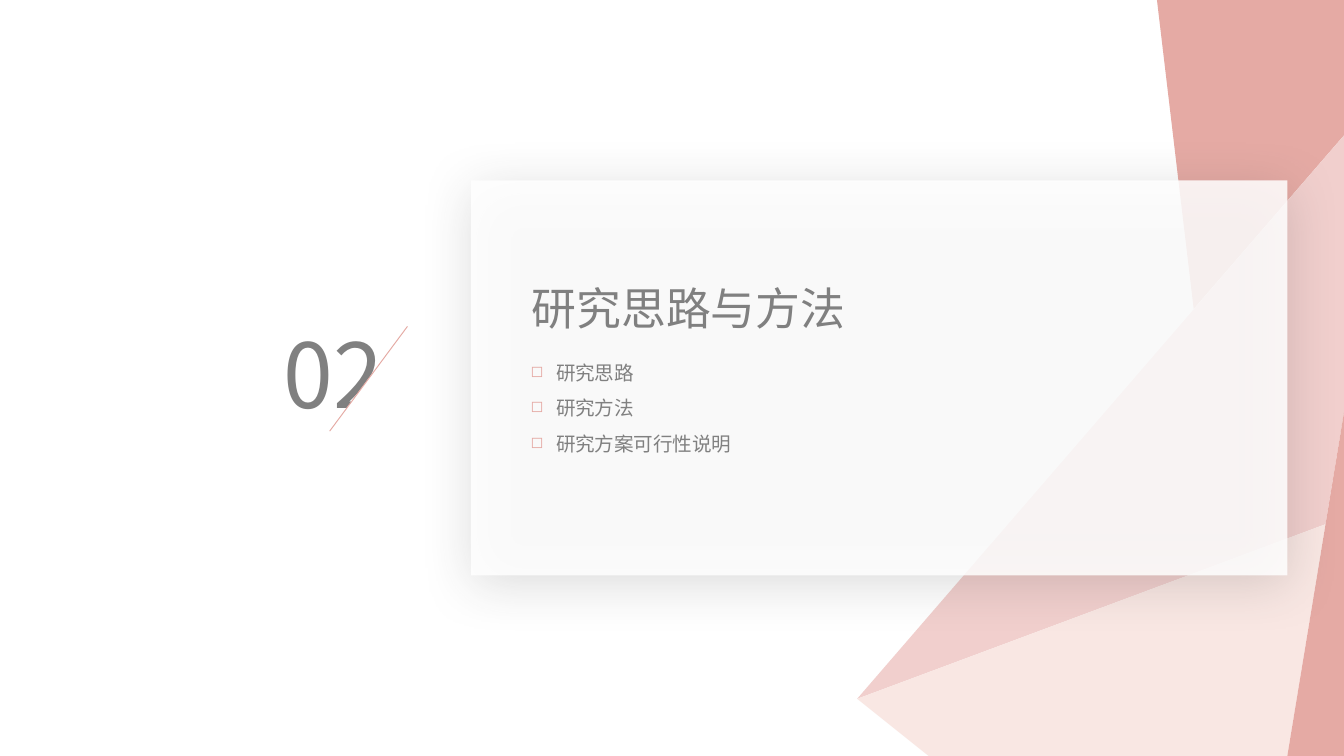
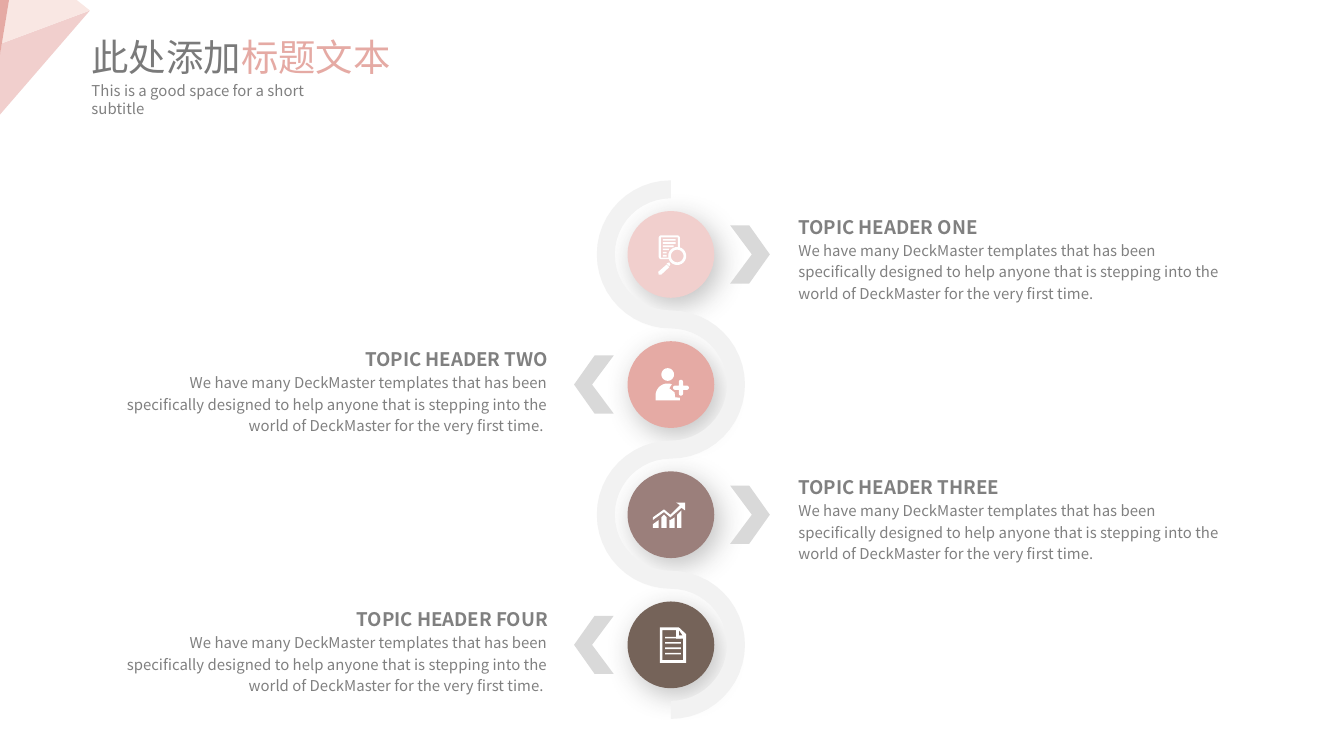
"""Build a section slide and a four-topic slide in a soft pink style."""
from math import cos, radians, sin

from lxml.etree import SubElement
from pptx import Presentation
from pptx.dml.color import RGBColor
from pptx.enum.shapes import MSO_CONNECTOR, MSO_SHAPE
from pptx.enum.text import MSO_AUTO_SIZE, PP_ALIGN
from pptx.oxml.ns import qn
from pptx.util import Cm, Pt

FONT = "Noto Sans CJK SC"
HUES = {
    "white": "FFFFFF", "text": "808080", "title": "7A7A7A", "rose": "E5AAA4",
    "pink": "F1CFCD", "cream": "F9E7E3", "mauve": "9B7F7B", "brown": "756359",
    "band": "F2F2F2", "arrow": "D9D9D9", "shade": "333333",
}
RGB = {name: RGBColor.from_string(code) for name, code in HUES.items()}


def draw(home, hue, *loops):
    """Fill closed loops of points (x, y) and arcs (x, y, radius, start, end)."""
    pen = None
    for loop in loops:
        dots = []
        for part in loop:
            if len(part) == 2:
                dots.append(part)
                continue
            x, y, size, start, end = part
            for step in range(25):
                turn = radians(start + (end - start) * step / 24)
                dots.append((x + size * cos(turn), y + size * sin(turn)))
        dots = [(Cm(x), Cm(y)) for x, y in dots]
        if pen is None:
            pen = home.build_freeform(*dots[0], scale=1.0)
        else:
            pen.move_to(*dots[0])
        pen.add_line_segments(dots[1:], close=True)
    shape = pen.convert_to_shape()
    shape.shadow.inherit = False
    shape.fill.solid()
    shape.fill.fore_color.rgb = RGB[hue]
    shape.line.fill.background()


def write(home, box, lines, wrap=True, inset=None, align=None, space=None):
    """Add a text box; each line is a list of runs (text, size, hue, bold)."""
    frame = home.add_textbox(*map(Cm, box)).text_frame
    frame.word_wrap = wrap
    frame.auto_size = MSO_AUTO_SIZE.SHAPE_TO_FIT_TEXT
    if inset is not None:
        frame.margin_left = frame.margin_right = Cm(inset)
        frame.margin_top = frame.margin_bottom = Cm(inset)
    for at, runs in enumerate(lines):
        para = frame.add_paragraph() if at else frame.paragraphs[0]
        para.alignment = align
        para.line_spacing = space
        for text, size, hue, bold in runs:
            run = para.add_run()
            run.text = text
            run.font.size = Pt(size)
            run.font.bold = bold
            run.font.color.rgb = RGB[hue]
            run.font.name = FONT
            SubElement(run._r.get_or_add_rPr(), qn("a:ea"), typeface=FONT)
    return frame


deck = Presentation()
deck.slide_width, deck.slide_height = Cm(25.4), Cm(14.29)
blank = deck.slide_layouts[6]

APEX = (16.2, 13.21)
FACETS = [
    ("pink", [APEX, (25.05, 9.91), (25.4, 7.8), (25.4, 2.56)]),
    ("cream", [APEX, (17.55, 14.29), (24.33, 14.29), (25.05, 9.91)]),
    ("rose", [(24.33, 14.29), (25.4, 14.29), (25.4, 7.8)]),
]
shades = []

first = deck.slides.add_slide(blank).shapes
back = first.add_group_shape().shapes
draw(back, "rose", [(22.56, 5.84), (21.86, -0.05), (25.4, -0.05), (25.4, 2.56)])
for hue, dots in FACETS:
    draw(back, hue, dots)

card = first.add_shape(MSO_SHAPE.RECTANGLE, Cm(8.9), Cm(3.41), Cm(15.43), Cm(7.47))
card.fill.solid()
card.fill.fore_color.rgb = RGB["white"]
card.line.fill.background()
tint = card._element.spPr.find(qn("a:solidFill"))[0]
SubElement(tint, qn("a:alpha"), val="85000")
shades.append((card, 20, 29, 77))

write(first, (5.11, 5.9, 2.49, 2.31), [[("02", 48, "text", None)]])
write(first, (9.8, 5.19, 6.5, 1.27), [[("研究思路与方法", 24, "text", None)]], wrap=False)

slash = first.add_group_shape().shapes
mask = slash.add_shape(MSO_SHAPE.RIGHT_TRIANGLE, Cm(5.97), Cm(6.43), Cm(1.98), Cm(1.47))
mask.rotation = 270
mask.shadow.inherit = False
mask.fill.solid()
mask.fill.fore_color.rgb = RGB["white"]
mask.line.fill.background()
line = slash.add_connector(MSO_CONNECTOR.STRAIGHT, Cm(7.7), Cm(6.17), Cm(6.23), Cm(8.15))
line.line.color.rgb = RGB["rose"]
line.line.width = Pt(0.5)
SubElement(line._element.spPr, qn("a:effectLst"))

items = ["研究思路", "研究方法", "研究方案可行性说明"]
frame = write(first, (9.78, 6.48, 6.35, 2.21),
              [[(item, 10.5, "text", None)] for item in items], space=1.5)
for para in frame.paragraphs:
    props = para._p.get_or_add_pPr()
    props.set("marL", str(Cm(0.48)))
    props.set("indent", str(-Cm(0.48)))
    paint = SubElement(props, qn("a:buClr"))
    SubElement(paint, qn("a:srgbClr"), val=HUES["rose"])
    SubElement(props, qn("a:buSzPct"), val="80000")
    SubElement(props, qn("a:buChar"), char="◻")

second = deck.slides.add_slide(blank).shapes
MID, TOP, STEP = 12.68, 4.81, 2.46
WIDE, TIGHT = 1.4, 1.06
BODY = ("We have many DeckMaster templates that has been specifically designed to help "
        "anyone that is stepping into the world of DeckMaster for the very first time.")
TOPICS = [("ONE", "pink"), ("TWO", "rose"), ("THREE", "mauve"), ("FOUR", "brown")]
rows = [(TOP + STEP * at, 1 - at % 2 * 2) for at in range(4)]

for (y, side), (word, hue) in zip(rows, TOPICS):
    disc = second.add_shape(MSO_SHAPE.OVAL, Cm(MID - 0.82), Cm(y - 0.82), Cm(1.64), Cm(1.64))
    disc.fill.solid()
    disc.fill.fore_color.rgb = RGB[hue]
    disc.line.fill.background()
    shades.append((disc, 30, 15, 55))

down = [(MID, y, WIDE if side > 0 else TIGHT, -90, -90 - 180 * side) for y, side in rows]
rise = [(MID, y, TIGHT if side > 0 else WIDE, 90, 90 + 180 * side)
        for y, side in reversed(rows)]
draw(second, "band", down + rise)

CHEVRON = [(1.1, -0.55), (1.51, 0), (1.1, 0.55), (1.46, 0.55), (1.85, 0), (1.46, -0.55)]
for y, side in rows:
    draw(second, "arrow", [(12.7 + side * dx, y + dy) for dx, dy in CHEVRON])

user = second.add_group_shape().shapes
px, py, arm, half = 12.87, 7.33, 0.11, 0.04
draw(user, "white", [
    (px + arm, py, half, -90, 90), (px + half, py + half),
    (px, py + arm, half, 0, 180), (px - half, py + half),
    (px - arm, py, half, 90, 270), (px - half, py - half),
    (px, py - arm, half, 180, 360), (px + half, py - half)])
draw(user, "white", [(12.62, 7.08, 0.12, 0, 360)], [
    (12.39, 7.57), (12.62, 7.48, 0.23, 180, 290), (12.65, 7.34), (12.75, 7.42),
    (12.76, 7.51), (12.85, 7.52), (12.85, 7.57)])

search = second.add_group_shape().shapes
ends = [12.77, 12.77, 12.73, 12.64, 12.6, 12.6]
bars = []
for at, end in enumerate(ends):
    y = 4.52 + 0.06 * at
    bars.append([(12.53, y), (end, y), (end, y + 0.03), (12.53, y + 0.03)])
draw(search, "white", *bars)
draw(search, "white", *[[(12.8, 4.84, size, 0, 360)] for size in (0.17, 0.12)])
draw(search, "white",
     [(12.6, 4.98), (12.65, 4.96), (12.67, 5), (12.65, 5.03)],
     [(12.44, 5.14), (12.6, 5), (12.65, 5.05), (12.5, 5.19), (12.45, 5.19)])
draw(search, "white", [
    (12.65, 4.87), (12.49, 4.87), (12.49, 4.49), (12.81, 4.49), (12.81, 4.7), (12.85, 4.7),
    (12.8, 4.5, 0.05, 0, -90), (12.5, 4.5, 0.05, 270, 180),
    (12.5, 4.85, 0.05, 180, 90), (12.65, 4.9)])

chart = second.add_group_shape().shapes
draw(chart, "white",
     [(12.5, 9.78), (12.5, 9.98), (12.6, 9.98), (12.6, 9.78), (12.55, 9.73)],
     [(12.34, 9.98), (12.45, 9.98), (12.45, 9.83), (12.34, 9.91)],
     [(12.8, 9.73), (12.8, 9.98), (12.88, 9.98), (12.88, 9.65)],
     [(12.65, 9.83), (12.65, 9.98), (12.75, 9.98), (12.75, 9.78), (12.67, 9.83)])
draw(chart, "white", [
    (12.95, 9.5), (12.78, 9.5), (12.85, 9.55), (12.67, 9.73), (12.55, 9.63), (12.34, 9.78),
    (12.34, 9.83), (12.55, 9.68), (12.67, 9.78), (12.88, 9.6), (12.95, 9.65)])

page = second.add_group_shape().shapes
draw(page, "white",
     [(12.97, 11.99), (12.83, 11.86), (12.47, 11.86), (12.47, 12.53), (12.97, 12.53)],
     [(12.9, 12.01), (12.83, 12.01), (12.83, 11.91)],
     [(12.91, 12.48), (12.52, 12.48), (12.52, 11.91), (12.78, 11.91),
      (12.78, 12.07), (12.91, 12.07)])
for at in range(4):
    rule = page.add_shape(MSO_SHAPE.RECTANGLE, Cm(12.57), Cm(12.04 + 0.1 * at),
                          Cm(0.3), Cm(0.03))
    rule.shadow.inherit = False
    rule.fill.solid()
    rule.fill.fore_color.rgb = RGB["white"]
    rule.line.fill.background()

for (y, side), (word, hue) in zip(rows, TOPICS):
    left, drop, align = (15.09, 0, None) if side > 0 else (2.15, 0.04, PP_ALIGN.RIGHT)
    tail = "" if side > 0 else " "
    write(second, (left, y - 0.82 + drop, 8.2, 1.75),
          [[("TOPIC HEADER " + word, 10, "text", True)], [(BODY + tail, 8, "text", False)]],
          inset=0, align=align, space=1.2)

corner = second.add_group_shape().shapes
for hue, dots in FACETS:
    draw(corner, hue, [(1.7 - (x - APEX[0]) * 0.188, 0.2 + (APEX[1] - y) * 0.188)
                       for x, y in dots])
write(second, (1.48, 0.53, 6.22, 1.12),
      [[("此处添加", 20, "title", None), ("标题文本", 20, "rose", None)]], wrap=False)
write(second, (1.48, 1.42, 5.56, 0.61),
      [[("This is a good space for a short subtitle", 8, "text", None)]])

for shape, alpha, blur, turn in shades:
    shape.shadow.inherit = False
    glow = SubElement(shape._element.spPr.find(qn("a:effectLst")), qn("a:outerShdw"),
                      blurRad=str(Pt(blur)), dist=str(Pt(5)), dir=str(turn * 60000),
                      algn="ctr", rotWithShape="0")
    paint = SubElement(glow, qn("a:srgbClr"), val=HUES["shade"])
    SubElement(paint, qn("a:alpha"), val=str(alpha * 1000))

deck.save("out.pptx")
